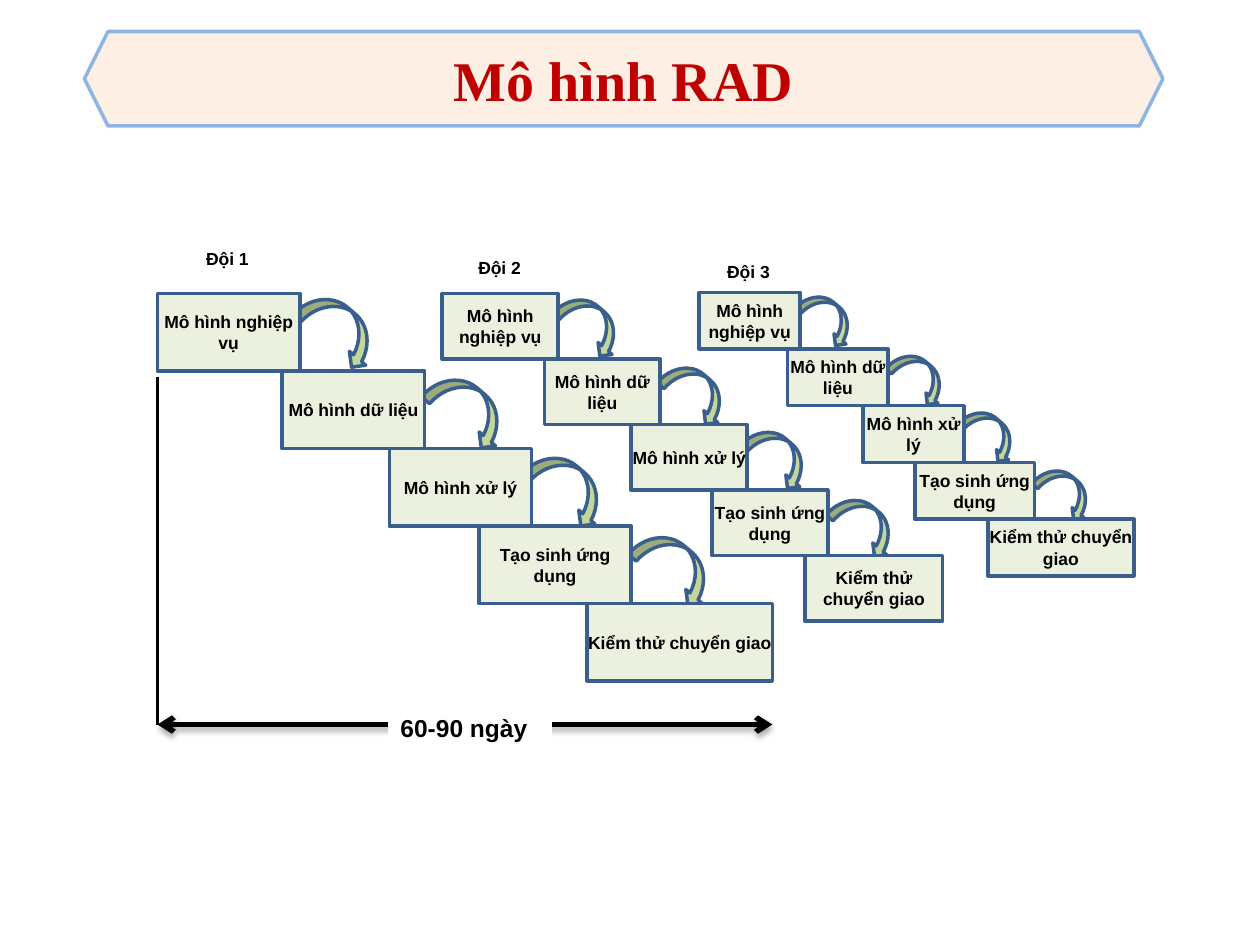
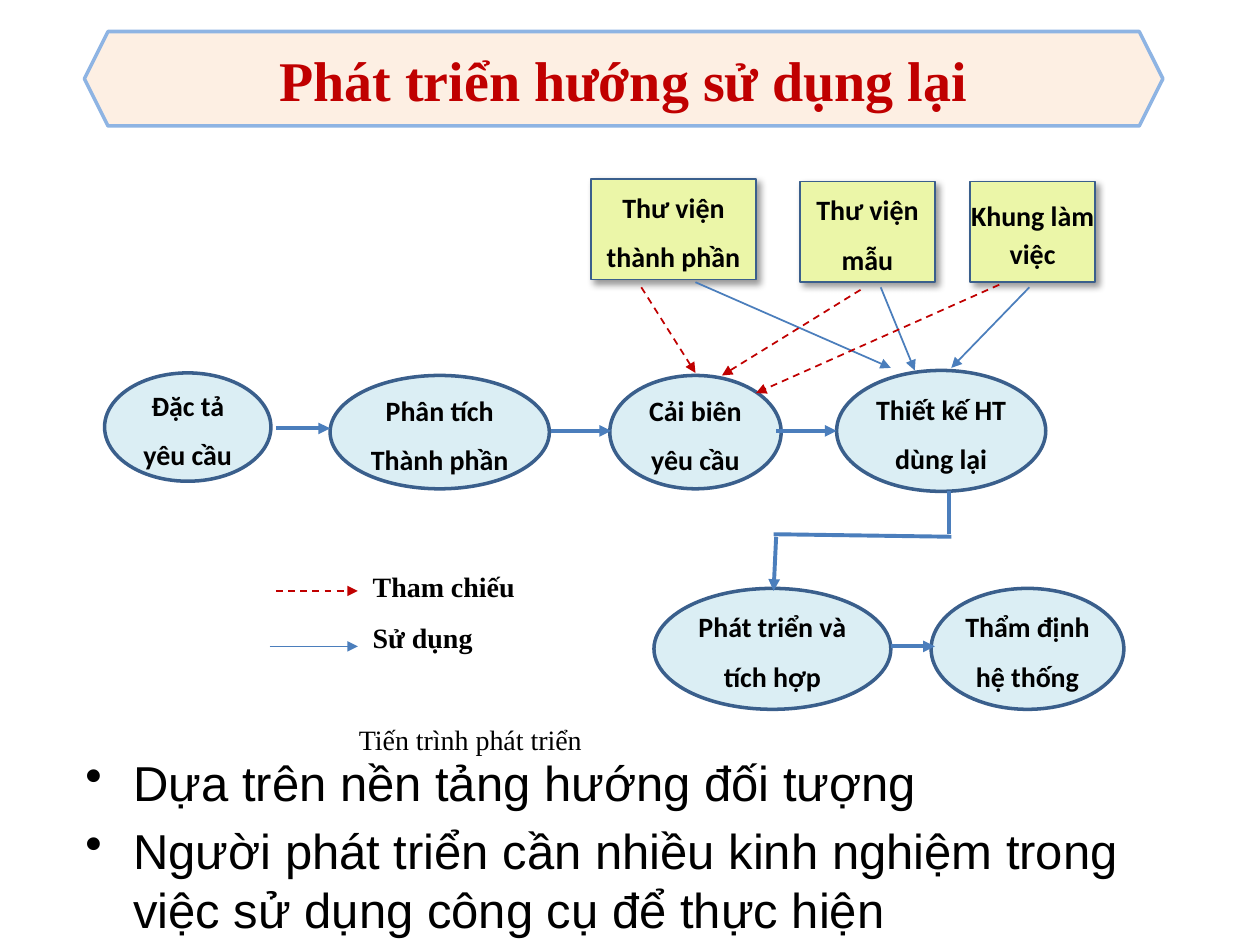
"""Build two slides on the RAD model and reuse-oriented development."""
from lxml import etree
from pptx import Presentation
from pptx.dml.color import RGBColor
from pptx.enum.dml import MSO_LINE
from pptx.enum.shapes import MSO_CONNECTOR, MSO_SHAPE
from pptx.enum.text import MSO_ANCHOR, PP_ALIGN
from pptx.oxml.ns import qn
from pptx.util import Inches, Pt

RECTANGLE, ELLIPSE = MSO_SHAPE.RECTANGLE, MSO_SHAPE.OVAL
HEXAGON, CURVED_ARROW = MSO_SHAPE.HEXAGON, MSO_SHAPE.CURVED_DOWN_ARROW
STRAIGHT, DASH = MSO_CONNECTOR.STRAIGHT, MSO_LINE.DASH
LEFT, CENTER, JUSTIFY = PP_ALIGN.LEFT, PP_ALIGN.CENTER, PP_ALIGN.JUSTIFY
TOP, MIDDLE = MSO_ANCHOR.TOP, MSO_ANCHOR.MIDDLE

COLORS = {
    "band": "FDEFE3", "band_line": "8EB4E3", "title": "C00000",
    "text": "000000", "white": "FFFFFF", "outline": "3A5F8C",
    "phase": "EBF1DE", "curve": "C3D69B", "step": "DBEEF4",
    "library": "EBF6A8", "use": "4B7EBC", "reference": "C00000",
}
SERIF, SANS, DIAGRAM_FONT = "Times New Roman", "Arial", "Calibri"

PHASES = ["Mô hình nghiệp vụ", "Mô hình dữ liệu", "Mô hình xử lý",
          "Tạo sinh ứng dụng", "Kiểm thử chuyển giao"]
TEAMS = [
    {"name": "Đội 1", "label": (1.37, 1.92, 0.87, 0.55), "top": 2.33, "height": 0.615,
     "boxes": [(1.25, 1.13), (2.24, 1.13), (3.09, 1.13), (3.8, 1.21), (4.66, 1.47)],
     "curve_size": (0.71, 0.34),
     "curves": [(2.34, 2.44), (3.37, 3.08), (4.16, 3.7), (5.01, 4.33)]},
    {"name": "Đội 2", "label": (3.61, 1.99, 0.71, 0.45), "top": 2.33, "height": 0.52,
     "boxes": [(3.51, 0.92), (4.32, 0.92), (5.01, 0.92), (5.65, 0.92), (6.39, 1.09)],
     "curve_size": (0.58, 0.29),
     "curves": [(4.4, 2.43), (5.24, 2.97), (5.89, 3.48), (6.58, 4.02)]},
    {"name": "Đội 3", "label": (5.63, 2.02, 0.62, 0.4), "top": 2.32, "height": 0.45,
     "boxes": [(5.55, 0.8), (6.25, 0.8), (6.85, 0.8), (7.26, 0.95), (7.84, 1.16)],
     "curve_size": (0.5, 0.25),
     "curves": [(6.32, 2.4), (7.05, 2.87), (7.61, 3.32), (8.21, 3.78)]},
]

STEPS = [
    (["Đặc tả", "yêu cầu"], (0.83, 2.96, 1.32, 0.86)),
    (["Phân tích", "Thành phần"], (2.62, 2.98, 1.74, 0.9)),
    (["Cải biên", "yêu cầu"], (4.84, 2.98, 1.36, 0.9)),
    (["Thiết kế HT", "dùng lại"], (6.64, 2.94, 1.66, 0.96)),
    (["Phát triển và", "tích hợp"], (5.19, 4.67, 1.88, 0.96)),
    (["Thẩm định", "hệ thống"], (7.39, 4.67, 1.53, 0.96)),
]
LIBRARIES = [
    (["Thư viện", "thành phần"], (4.69, 1.42, 1.31, 0.8)),
    (["Thư viện", "mẫu"], (6.35, 1.44, 1.07, 0.8)),
    (["Khung làm việc"], (7.7, 1.44, 0.99, 0.8)),
]
USES = [(5.52, 2.24, 7.07, 2.92), (6.99, 2.28, 7.26, 2.94),
        (8.17, 2.28, 7.55, 2.92), (2.14, 5.13, 2.84, 5.13)]
REFERENCES = [(5.09, 2.28, 5.52, 2.96), (6.83, 2.3, 5.73, 2.98),
              (7.93, 2.26, 6, 3.12), (2.19, 4.69, 2.84, 4.69)]
FLOWS = [(2.19, 3.4, 2.62, 3.4), (4.37, 3.42, 4.85, 3.42), (6.16, 3.42, 6.64, 3.42),
         (6.16, 4.26, 6.14, 4.69), (7.07, 5.13, 7.42, 5.13)]
BENDS = [(6.14, 4.24, 7.55, 4.26), (7.53, 3.9, 7.53, 4.24)]
LEGEND = ["Tham chiếu", "Sử dụng"]
CAPTION = ["Tiến trình phát triển"]
BULLETS = ["Dựa trên nền tảng hướng đối tượng",
           "Người phát triển cần nhiều kinh nghiệm trong việc sử dụng công cụ để thực hiện"]


def rgb(name):
    return RGBColor.from_string(COLORS[name])


def add_shadow(shape, alpha, blur, distance, angle):
    properties = shape._element.spPr
    effects = properties.find(qn("a:effectLst"))
    shadow = etree.SubElement(effects, qn("a:outerShdw"), blurRad=str(Pt(blur)),
                              dist=str(Pt(distance)), dir=str(angle * 60000),
                              algn="ctr", rotWithShape="0")
    color = etree.SubElement(shadow, qn("a:srgbClr"), val=COLORS["text"])
    etree.SubElement(color, qn("a:alpha"), val=str(alpha * 1000))


def add_box(slide, kind, place, fill, outline=None, width=2):
    shape = slide.shapes.add_shape(kind, *map(Inches, place))
    shape.shadow.inherit = False
    shape.fill.solid()
    shape.fill.fore_color.rgb = rgb(fill)
    if outline:
        shape.line.color.rgb = rgb(outline)
        shape.line.width = Pt(width)
    else:
        shape.line.fill.background()
    return shape


def write(shape, lines, font, size, color="text", bold=True, align=CENTER,
          anchor=MIDDLE, insets=(0, 0), before=0, spacing=1.0):
    frame = shape.text_frame
    frame.word_wrap = True
    frame.vertical_anchor = anchor
    frame.margin_left = frame.margin_right = Inches(insets[0])
    frame.margin_top = frame.margin_bottom = Inches(insets[1])
    frame.text = "\n".join(lines)
    for paragraph in frame.paragraphs:
        paragraph.alignment = align
        paragraph.space_before = Pt(before)
        paragraph.line_spacing = spacing
        paragraph.font.name = font
        paragraph.font.size = Pt(size)
        paragraph.font.bold = bold
        paragraph.font.color.rgb = rgb(color)
    return frame


def add_line(slide, ends, color, width, head=None, tail=None, dash=None):
    connector = slide.shapes.add_connector(STRAIGHT, *map(Inches, ends))
    connector.line.color.rgb = rgb(color)
    connector.line.width = Pt(width)
    if dash:
        connector.line.dash_style = dash
    properties = connector._element.spPr
    for tag, kind in (("a:headEnd", head), ("a:tailEnd", tail)):
        if kind:
            etree.SubElement(properties.find(qn("a:ln")), qn(tag), type=kind)
    etree.SubElement(properties, qn("a:effectLst"))
    return connector


def add_titled_slide(presentation, title):
    slide = presentation.slides.add_slide(presentation.slide_layouts[6])
    band = add_box(slide, HEXAGON, (0.67, 0.25, 8.56, 0.75), "band", "band_line")
    write(band, [title], SERIF, 32, "title", insets=(0.1, 0.05))
    return slide


def add_team(slide, team):
    for left, top in team["curves"]:
        curve = add_box(slide, CURVED_ARROW, (left, top, *team["curve_size"]),
                        "curve", "outline")
        curve.rotation = 40.5
    for row, (phase, (left, width)) in enumerate(zip(PHASES, team["boxes"])):
        place = (left, team["top"] + row * team["height"], width, team["height"])
        write(add_box(slide, RECTANGLE, place, "phase", "outline"), [phase], SANS, 10)
    label = slide.shapes.add_textbox(*map(Inches, team["label"]))
    write(label, [team["name"]], SANS, 10, anchor=TOP, insets=(0, 0.05))


def build_rad_slide(presentation):
    slide = add_titled_slide(presentation, "Mô hình RAD")
    for team in TEAMS:
        add_team(slide, team)
    add_line(slide, (1.25, 2.99, 1.25, 5.75), "text", 1.5)
    duration = add_line(slide, (1.25, 5.75, 6.13, 5.75), "text", 3, "arrow", "arrow")
    add_shadow(duration, 35, 3.1, 1.8, 90)
    label = add_box(slide, RECTANGLE, (3.08, 5.61, 1.3, 0.55), "white")
    write(label, ["60-90 ngày"], SANS, 14, align=LEFT, anchor=TOP, insets=(0.1, 0.05))


def build_reuse_slide(presentation):
    slide = add_titled_slide(presentation, "Phát triển hướng sử dụng lại")
    for lines, place in STEPS:
        step = add_box(slide, ELLIPSE, place, "step", "outline")
        write(step, lines, DIAGRAM_FONT, 16, before=6, spacing=1.15)
    for lines, place in LIBRARIES:
        library = add_box(slide, RECTANGLE, place, "library", "outline", 1)
        add_shadow(library, 40, 4, 3, 45)
        write(library, lines, DIAGRAM_FONT, 16, before=6, spacing=1.15)
    for ends in USES:
        add_line(slide, ends, "use", 1, tail="triangle")
    for ends in FLOWS:
        add_line(slide, ends, "use", 2.25, tail="triangle")
    for ends in BENDS:
        add_line(slide, ends, "use", 2.25)
    for ends in REFERENCES:
        add_line(slide, ends, "reference", 1, tail="triangle", dash=DASH)
    for lines, place, bold in ((LEGEND, (2.86, 4.42, 1.56, 0.86), True),
                               (CAPTION, (2.75, 5.63, 2.44, 0.62), False)):
        note = add_box(slide, RECTANGLE, place, "white")
        write(note, lines, SERIF, 16, bold=bold, align=JUSTIFY, anchor=TOP,
              insets=(0.1, 0.05), before=6, spacing=1.2)
    body = slide.shapes.add_textbox(*map(Inches, (0.58, 5.92, 9, 1.53)))
    frame = write(body, BULLETS, SANS, 28, bold=False, align=LEFT, anchor=TOP,
                  insets=(0.1, 0.05), before=5.6)
    for paragraph in frame.paragraphs:
        properties = paragraph._p.get_or_add_pPr()
        properties.set("marL", str(Inches(0.38)))
        properties.set("indent", str(Inches(-0.38)))
        bullet = etree.Element(qn("a:buChar"), char="•")
        properties.find(qn("a:defRPr")).addprevious(bullet)


def main():
    presentation = Presentation()
    presentation.slide_width = Inches(10)
    presentation.slide_height = Inches(7.5)
    build_rad_slide(presentation)
    build_reuse_slide(presentation)
    presentation.save("out.pptx")


if __name__ == "__main__":
    main()
